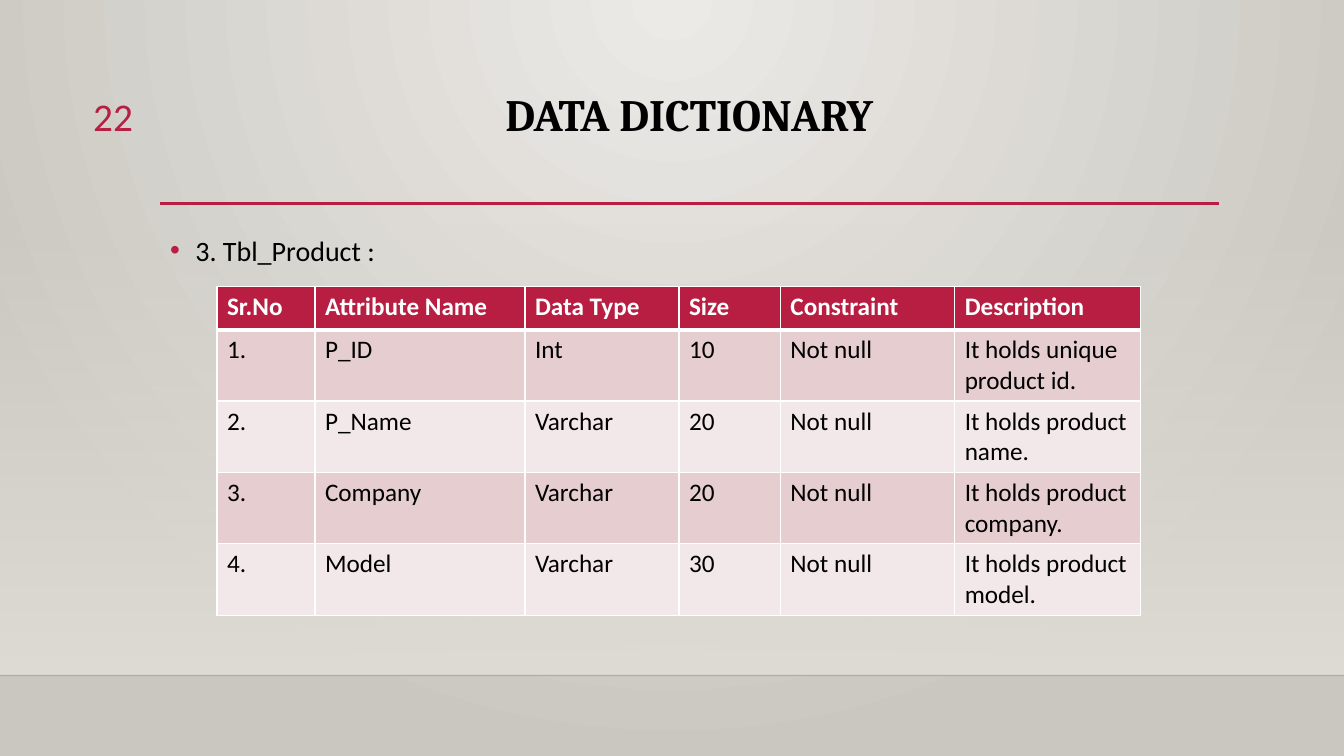
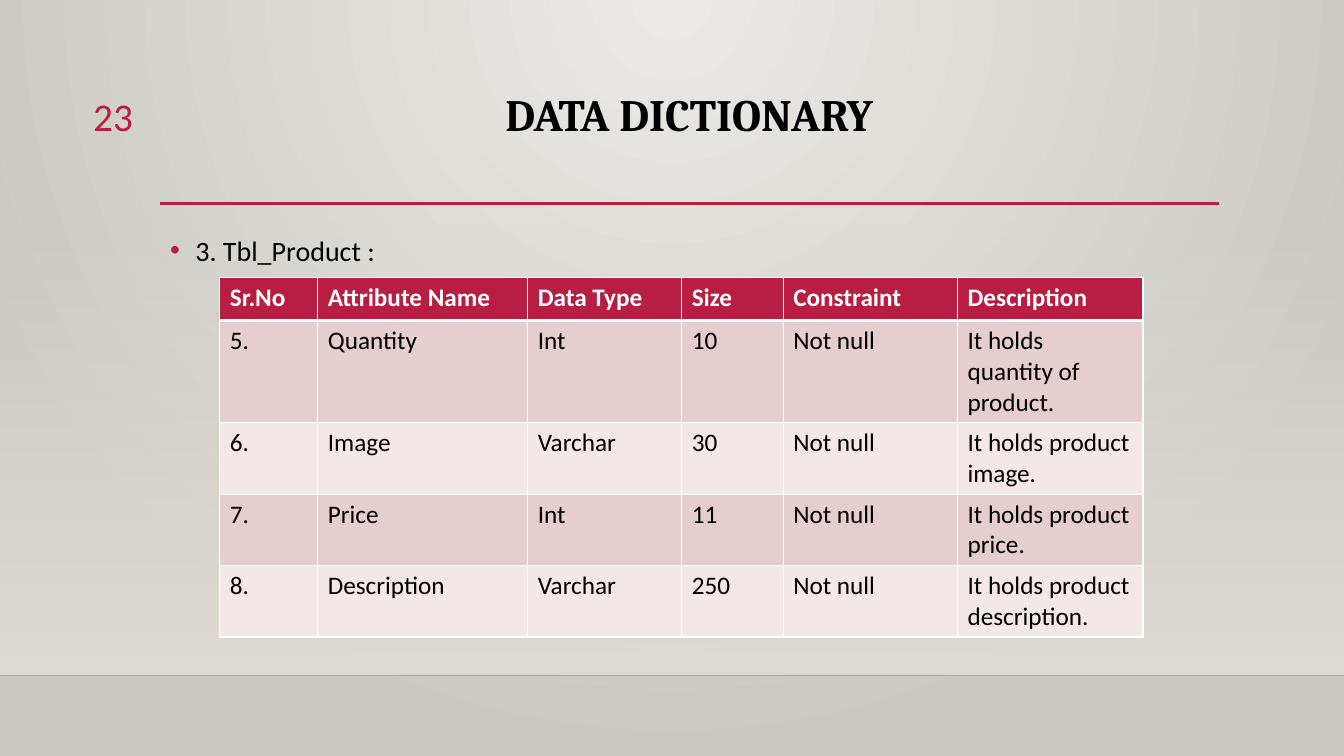
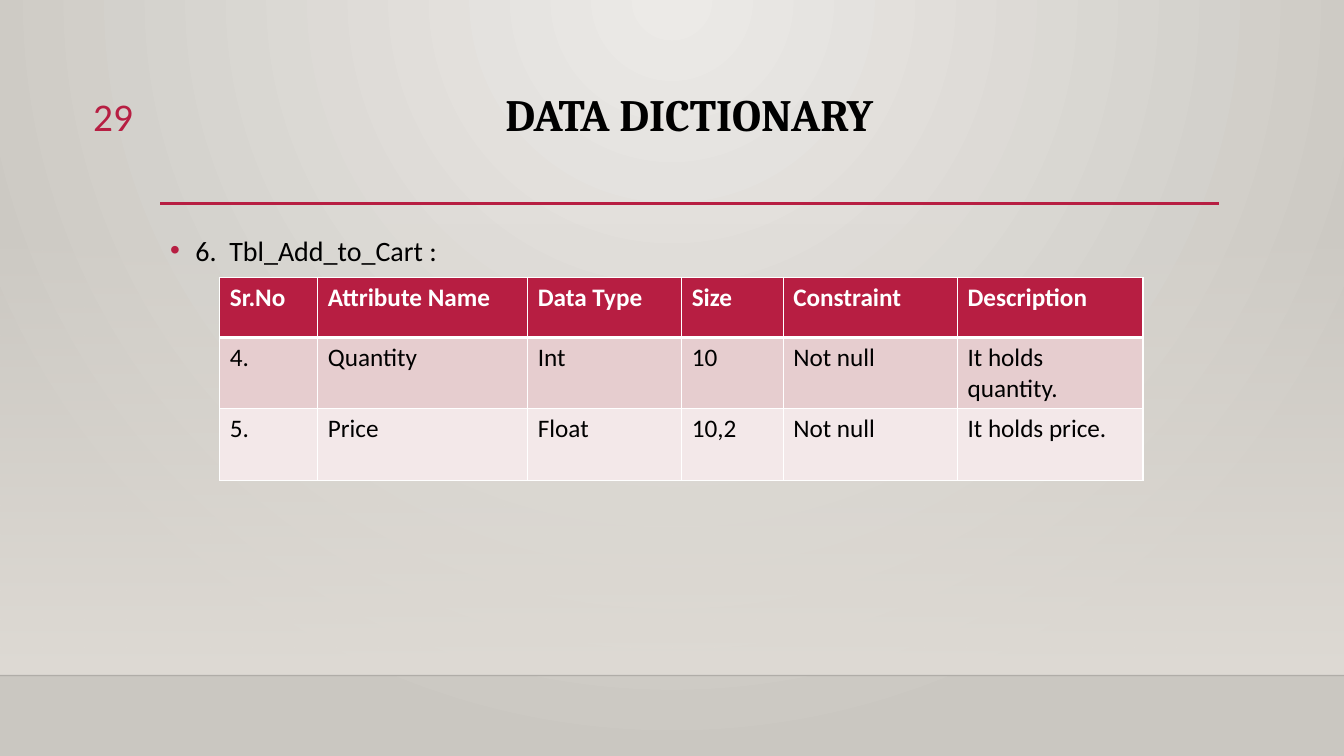
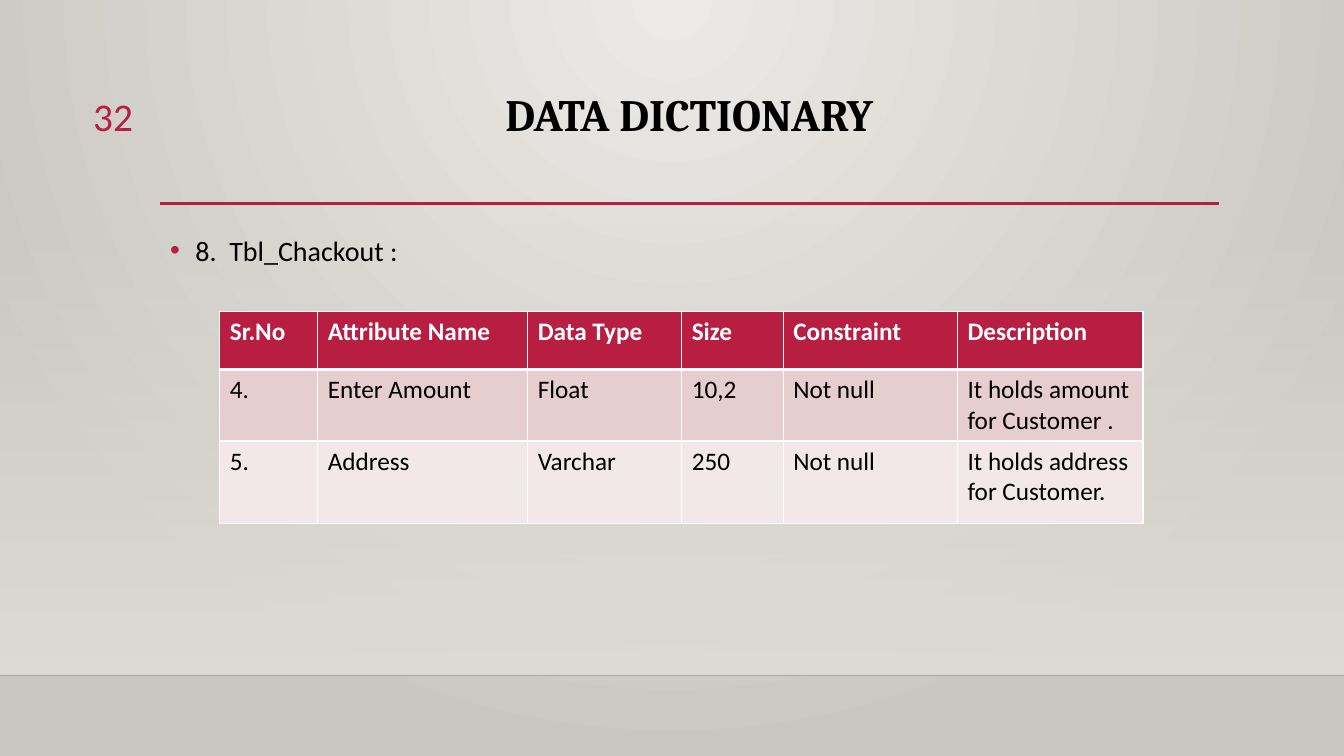
from dataclasses import dataclass

from lxml import etree
from pptx import Presentation
from pptx.dml.color import RGBColor
from pptx.enum import shapes, text
from pptx.oxml import ns
from pptx.util import Pt


@dataclass(frozen=True)
class Theme:
    """Colours, fonts and type sizes shared by all slides."""
    accent: str = "B71E42"
    black: str = "000000"
    white: str = "FFFFFF"
    panel: str = "DFDBD5"
    glow: str = "ECEAE7"
    edge: str = "CAC7C1"
    bands: tuple = ("E6CDCF", "F3E8E9")
    heading_font: str = "Cambria"
    body_font: str = "Calibri"
    title_size: float = 32
    number_size: float = 28
    caption_size: float = 20
    cell_size: float = 18


THEME = Theme()
WIDTH, HEIGHT = 960, 540
PANEL_BOX = (0, 159, WIDTH, 323.5)
RULE_BOX = (114.5, 145.5, 756.5, 0)
TITLE_BOX = (114.5, 63, 756, 83)
CAPTION_BOX = (114.5, 158.5, 756, 271.5)
NUMBER_BOX = (38, 62.5, 64, 39.5)
COLUMNS = (70, 150, 110, 72.5, 124.5, 132.5)
HEADER = ("Sr.No", "Attribute Name", "Data Type", "Size", "Constraint", "Description")

SLIDES = [
    dict(number="22", caption="3. Tbl_Product :", corner=(155, 204.5),
         heights=(31, 51, 51, 51, 51), rows=[
             ("1.", "P_ID", "Int", "10", "Not null", "It holds unique product id."),
             ("2.", "P_Name", "Varchar", "20", "Not null", "It holds product name."),
             ("3.", "Company", "Varchar", "20", "Not null", "It holds product company."),
             ("4.", "Model", "Varchar", "30", "Not null", "It holds product model.")]),
    dict(number="23", caption="3. Tbl_Product :", corner=(157, 198),
         heights=(31, 73, 51, 51, 51), rows=[
             ("5.", "Quantity", "Int", "10", "Not null", "It holds quantity of product."),
             ("6.", "Image", "Varchar", "30", "Not null", "It holds product image."),
             ("7.", "Price", "Int", "11", "Not null", "It holds product price."),
             ("8.", "Description", "Varchar", "250", "Not null",
              "It holds product description.")]),
    dict(number="29", caption="6.  Tbl_Add_to_Cart :", corner=(157, 198),
         heights=(43, 51, 51), rows=[
             ("4.", "Quantity", "Int", "10", "Not null", "It holds quantity."),
             ("5.", "Price", "Float", "10,2", "Not null", "It holds price.")]),
    dict(number="32", caption="8.  Tbl_Chackout :", corner=(157, 222.5),
         heights=(41.5, 51, 59), rows=[
             ("4.", "Enter Amount", "Float", "10,2", "Not null",
              "It holds amount for Customer ."),
             ("5.", "Address", "Varchar", "250", "Not null",
              "It holds address for Customer.")]),
]


def rgb(value):
    """Turn a hex string into a colour."""
    return RGBColor.from_string(value)


def points(*values):
    """Turn numbers into lengths in points."""
    return [Pt(value) for value in values]


def child(parent, tag, **attributes):
    """Append a drawing element to a parent and return it."""
    element = etree.SubElement(parent, ns.qn(tag))
    for name, value in attributes.items():
        element.set(name, str(value))
    return element


def set_alpha(properties, percent):
    """Make the first plain colour in some properties translucent."""
    child(next(properties.iter(ns.qn("a:srgbClr"))), "a:alpha", val=percent * 1000)


def style(para, size, color, font=THEME.body_font, bold=False,
          align=text.PP_ALIGN.LEFT, line=None, before=None):
    """Set the type and spacing of a paragraph."""
    para.alignment = align
    if line:
        para.line_spacing = line
    if before:
        para.space_before = Pt(before)
    para.font.name, para.font.size, para.font.bold = font, Pt(size), bold
    para.font.color.rgb = rgb(color)


def set_gradient(fill, *colors):
    """Give a fill a two-stop gradient."""
    fill.gradient()
    for stop, color in zip(fill.gradient_stops, colors):
        stop.color.rgb = rgb(color)


def paint_background(master):
    """Light the master background from the middle of its top edge."""
    set_gradient(master.background.fill, THEME.glow, THEME.edge)
    gradient = next(master.element.cSld.iter(ns.qn("a:gradFill")))
    linear = gradient.find(ns.qn("a:lin"))
    circle = child(gradient, "a:path", path="circle")
    child(circle, "a:fillToRect", l=43000, t=0, r=43000, b=100000)
    gradient.replace(linear, circle)


def add_rule(page, box, color, weight):
    """Draw a horizontal line along the top of a box."""
    left, top, width, _ = box
    rule = page.shapes.add_connector(
        shapes.MSO_CONNECTOR.STRAIGHT, *points(left, top, left + width, top))
    rule.line.color.rgb = rgb(color)
    rule.line.width = Pt(weight)
    child(rule.element.spPr, "a:effectLst")
    return rule


def add_panel(page, box):
    """Add the fading panel and the faint line along its foot."""
    panel = page.shapes.add_shape(shapes.MSO_SHAPE.RECTANGLE, *points(*box))
    panel.shadow.inherit = False
    panel.line.fill.background()
    set_gradient(panel.fill, THEME.panel, THEME.panel)
    panel.fill.gradient_angle = 270
    set_alpha(panel.element.spPr, 0)
    left, top, width, height = box
    foot = add_rule(page, (left, top + height, width, 0), THEME.black, 1)
    set_alpha(foot.element.spPr, 20)


def add_title(page, box, words):
    """Move and format the title placeholder."""
    title = page.shapes.title
    title.left, title.top, title.width, title.height = points(*box)
    frame = title.text_frame
    frame.text = words
    frame.auto_size = text.MSO_AUTO_SIZE.NONE
    frame.vertical_anchor = text.MSO_ANCHOR.TOP
    style(frame.paragraphs[0], THEME.title_size, THEME.black, THEME.heading_font,
          bold=True, align=text.PP_ALIGN.CENTER, line=0.9)


def add_text(page, box, words):
    """Add a wrapping text box and return its paragraph."""
    frame = page.shapes.add_textbox(*points(*box)).text_frame
    frame.word_wrap = True
    frame.text = words
    return frame.paragraphs[0]


def add_caption(page, box, words):
    """Add the bulleted name of the table."""
    para = add_text(page, box, words)
    properties = para._p.get_or_add_pPr()
    properties.set("marL", str(Pt(18)))
    properties.set("indent", str(-Pt(18)))
    child(child(properties, "a:buClr"), "a:srgbClr", val=THEME.accent)
    child(properties, "a:buFont", typeface="Arial")
    child(properties, "a:buChar", char="•")
    style(para, THEME.caption_size, THEME.black, line=1.2, before=10)


def set_borders(cell, top, bottom):
    """Draw white borders around a cell."""
    properties = cell._tc.get_or_add_tcPr()
    for side, weight in (("L", 1), ("R", 1), ("T", top), ("B", bottom)):
        border = child(properties, f"a:ln{side}", w=Pt(weight))
        child(child(border, "a:solidFill"), "a:srgbClr", val=THEME.white)


def add_dictionary(page, corner, heights, rows):
    """Add the attribute table with its header row at a corner."""
    lines = [HEADER, *rows]
    table = page.shapes.add_table(
        len(lines), len(COLUMNS), *points(*corner, sum(COLUMNS), sum(heights))).table
    table.horz_banding = False
    for column, width in zip(table.columns, COLUMNS):
        column.width = Pt(width)
    for index, (row, height, line) in enumerate(zip(table.rows, heights, lines)):
        row.height = Pt(height)
        header = index == 0
        for cell, words in zip(row.cells, line):
            set_borders(cell, 3 if index == 1 else 1, 3 if header else 1)
            cell.fill.solid()
            cell.fill.fore_color.rgb = rgb(
                THEME.accent if header else THEME.bands[(index - 1) % 2])
            cell.text = words
            style(cell.text_frame.paragraphs[0], THEME.cell_size,
                  THEME.white if header else THEME.black, bold=header)


def add_dictionary_slide(deck, number, caption, corner, heights, rows):
    """Add one data dictionary slide."""
    page = deck.slides.add_slide(deck.slide_layouts.get_by_name("Title Only"))
    add_panel(page, PANEL_BOX)
    add_rule(page, RULE_BOX, THEME.accent, 2.5)
    add_title(page, TITLE_BOX, "DATA DICTIONARY")
    add_caption(page, CAPTION_BOX, caption)
    style(add_text(page, NUMBER_BOX, number), THEME.number_size, THEME.accent,
          align=text.PP_ALIGN.RIGHT)
    add_dictionary(page, corner, heights, rows)


def main():
    """Build and save the deck."""
    deck = Presentation()
    deck.slide_width, deck.slide_height = points(WIDTH, HEIGHT)
    paint_background(deck.slide_master)
    for content in SLIDES:
        add_dictionary_slide(deck, **content)
    deck.save("out.pptx")


if __name__ == "__main__":
    main()
